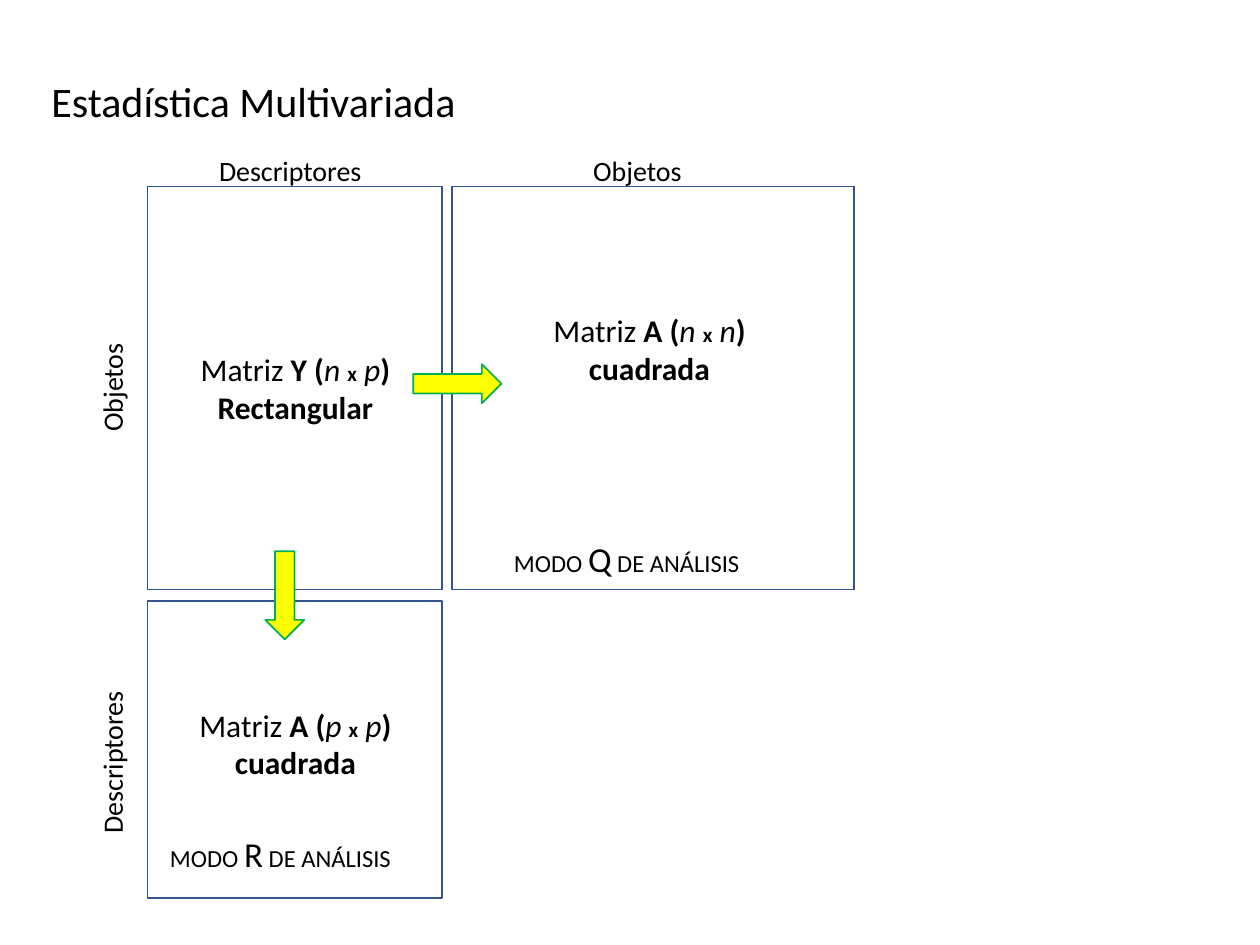
from pptx import Presentation
from pptx.dml.color import RGBColor
from pptx.enum.shapes import MSO_SHAPE
from pptx.enum.text import PP_ALIGN
from pptx.util import Inches, Pt

RECT = MSO_SHAPE.RECTANGLE
ARROW = MSO_SHAPE.RIGHT_ARROW
LEFT = PP_ALIGN.LEFT
CENTER = PP_ALIGN.CENTER

BLACK = RGBColor(0x00, 0x00, 0x00)
BLUE = RGBColor(0x32, 0x54, 0x91)
YELLOW = RGBColor(0xFF, 0xFF, 0x00)
GREEN = RGBColor(0x00, 0xB0, 0x50)
FONT = "Calibri"


def add_shape(slide, kind, x, y, w, h, line, fill=None, rotation=0):
    sp = slide.shapes.add_shape(kind, Inches(x), Inches(y), Inches(w), Inches(h))
    sp.shadow.inherit = False
    sp.rotation = rotation
    if fill is None:
        sp.fill.background()
    else:
        sp.fill.solid()
        sp.fill.fore_color.rgb = fill
    sp.line.color.rgb = line
    sp.line.width = Pt(1)


def add_text(slide, x, y, w, h, lines, size, align=LEFT, rotation=0):
    """Each line is a list of (text, font overrides) runs."""
    box = slide.shapes.add_textbox(Inches(x), Inches(y), Inches(w), Inches(h))
    box.rotation = rotation
    tf = box.text_frame
    tf.word_wrap = True
    for i, runs in enumerate(lines):
        p = tf.paragraphs[0] if i == 0 else tf.add_paragraph()
        p.alignment = align
        p.font.name = FONT
        p.font.size = Pt(size)
        p.font.color.rgb = BLACK
        for text, style in runs:
            r = p.add_run()
            r.text = text
            for name, value in style.items():
                setattr(r.font, name, value)


def add_label(slide, x, y, w, h, text, size=16, rotation=0):
    add_text(slide, x, y, w, h, [[(text, {})]], size, rotation=rotation)


def add_matrix_name(slide, x, y, name, rows, cols, form):
    bold, italic = {"bold": True}, {"italic": True}
    formula = [
        ("Matriz ", {}),
        (f"{name} (", bold),
        (f"{rows} ", italic),
        ("x", {"bold": True, "size": Pt(12)}),
        (" ", bold),
        (cols, italic),
        (")", bold),
    ]
    add_text(slide, x, y, 2.03, 0.71, [formula, [(form, bold)]], 18, CENTER)


def add_mode(slide, x, y, letter):
    runs = [("MODO ", {}), (letter, {"size": Pt(20)}), (" DE ANÁLISIS", {})]
    add_text(slide, x, y, 2.81, 0.44, [runs], 14)


def main():
    prs = Presentation()
    prs.slide_width, prs.slide_height = Inches(10), Inches(7.5)
    slide = prs.slides.add_slide(prs.slide_layouts[6])

    # Title
    add_label(slide, 0.31, 0.55, 3.83, 0.51, "Estadística Multivariada", 24)

    # Matrix frames
    for x, y, w, h in [(1.17, 1.48, 2.34, 3.2),
                       (3.59, 1.48, 3.19, 3.2),
                       (1.17, 4.77, 2.34, 2.36)]:
        add_shape(slide, RECT, x, y, w, h, BLUE)

    # Matrix names
    add_matrix_name(slide, 1.33, 2.73, "Y", "n", "p", "Rectangular")
    add_matrix_name(slide, 4.14, 2.42, "A", "n", "n", "cuadrada")
    add_matrix_name(slide, 1.33, 5.55, "A", "p", "p", "cuadrada")

    # Row and column labels
    add_label(slide, 1.64, 1.17, 1.64, 0.37, "Descriptores")
    add_label(slide, 0.22, 2.67, 1.34, 0.37, "Objetos", rotation=270)
    add_label(slide, 0.07, 5.71, 1.64, 0.37, "Descriptores", rotation=270)
    add_label(slide, 4.61, 1.17, 1.02, 0.37, "Objetos")

    # Arrows from the data matrix to the square matrices
    for x, y, rotation in [(3.28, 2.89, 0), (1.91, 4.57, 90)]:
        add_shape(slide, ARROW, x, y, 0.7, 0.31, GREEN, YELLOW, rotation)

    # Analysis modes
    add_mode(slide, 3.98, 4.22, "Q")
    add_mode(slide, 1.25, 6.56, "R")

    prs.save("out.pptx")


if __name__ == "__main__":
    main()
